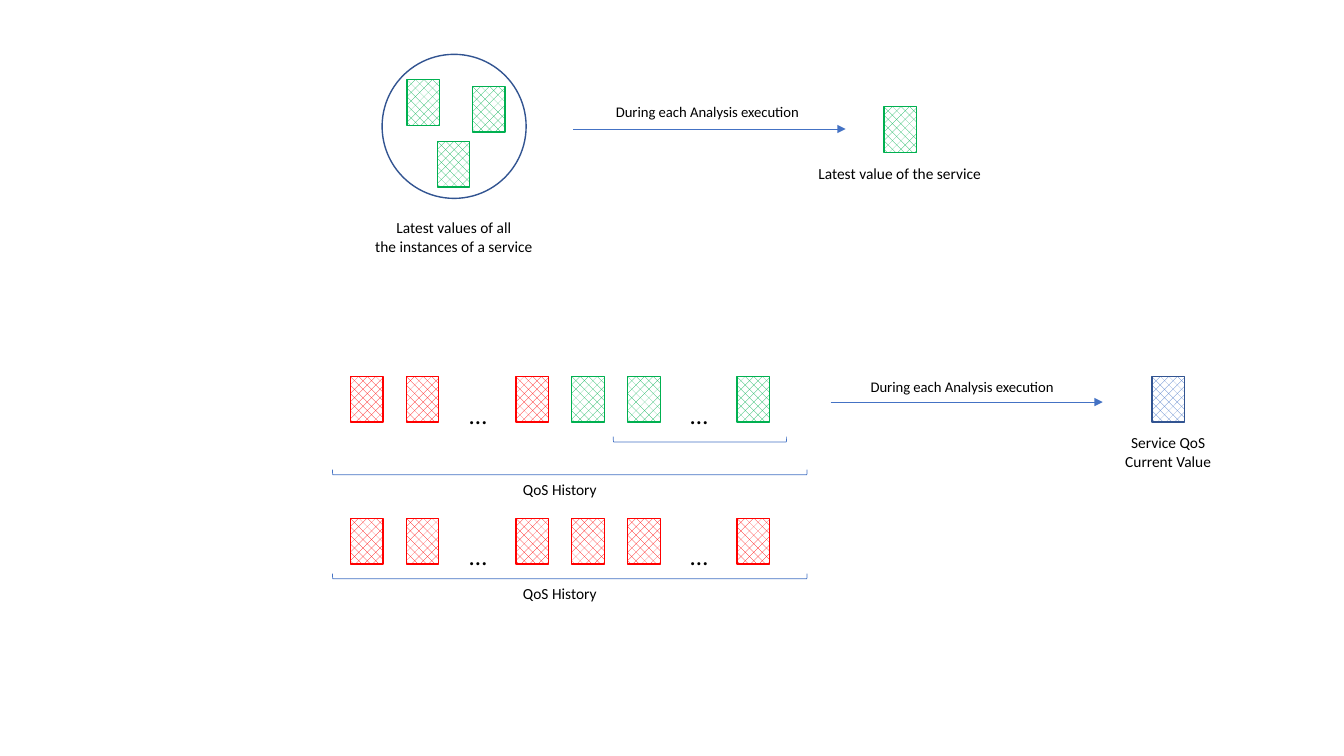
from lxml import etree
from pptx import Presentation
from pptx import util as u
from pptx.dml.color import RGBColor
from pptx.enum import dml, shapes, text
from pptx.oxml import ns

RED = RGBColor(0xFF, 0x00, 0x00)
GREEN = RGBColor(0x00, 0xB0, 0x50)
BLUE = RGBColor(0x44, 0x72, 0xC4)
NAVY = RGBColor(0x32, 0x54, 0x91)
BLACK = RGBColor(0x00, 0x00, 0x00)
WHITE = RGBColor(0xFF, 0xFF, 0xFF)

TILE_WIDTH, TILE_HEIGHT = 0.82, 1.15
TILE_PITCH = 1.41
GROUPS = ((8.83, 2), (13, 3), (18.57, 1))
DOTS_LEFTS = (11.58, 17.15)
HISTORY_MIDDLE, HISTORY_SPAN = 14.36, 11.96


class Sketch:
    font = "Calibri"
    thin, medium = u.Pt(0.5), u.Pt(1)

    def __init__(self, page):
        self.page = page

    def shape(self, kind, left, top, width, height, line, weight):
        item = self.page.shapes.add_shape(
            kind, u.Cm(left), u.Cm(top), u.Cm(width), u.Cm(height))
        item.shadow.inherit = False
        item.line.color.rgb = line
        item.line.width = weight
        return item

    def tile(self, left, top, color, line=None):
        item = self.shape(shapes.MSO_SHAPE.RECTANGLE, left, top,
                          TILE_WIDTH, TILE_HEIGHT, line or color, self.medium)
        item.fill.patterned()
        item.fill.pattern = dml.MSO_PATTERN.ERCENT_40
        item.fill.fore_color.rgb = color
        item.fill.back_color.rgb = WHITE

    def circle(self, left, top, size):
        item = self.shape(shapes.MSO_SHAPE.OVAL, left, top, size, size, NAVY, self.medium)
        item.fill.solid()
        item.fill.fore_color.rgb = WHITE

    def bracket(self, middle, center, span, depth=0.13):
        item = self.shape(shapes.MSO_SHAPE.LEFT_BRACKET, middle - depth / 2,
                          center - span / 2, depth, span, BLUE, self.thin)
        item.fill.background()
        item.rotation = 270

    def arrow(self, left, top, length=6.86):
        item = self.page.shapes.add_connector(
            shapes.MSO_CONNECTOR.STRAIGHT,
            u.Cm(left), u.Cm(top), u.Cm(left + length), u.Cm(top))
        item.line.color.rgb = BLUE
        item.line.width = self.thin
        etree.SubElement(item.line._get_or_add_ln(), ns.qn("a:tailEnd"), type="triangle")
        etree.SubElement(item._element.spPr, ns.qn("a:effectLst"))

    def label(self, words, left, top, width, height=0.74, size=11,
              align=text.PP_ALIGN.LEFT, wrap=False):
        box = self.page.shapes.add_textbox(
            u.Cm(left), u.Cm(top), u.Cm(width), u.Cm(height))
        frame = box.text_frame
        frame.word_wrap = wrap
        frame.auto_size = text.MSO_AUTO_SIZE.SHAPE_TO_FIT_TEXT
        frame.text = words
        for para in frame.paragraphs:
            para.alignment = align
            for span in para.runs:
                span.font.name = self.font
                span.font.size = u.Pt(size)
                span.font.color.rgb = BLACK

    def history(self, top, colors, bracket_center):
        lefts = [start + TILE_PITCH * step for start, count in GROUPS for step in range(count)]
        for left, color in zip(lefts, colors):
            self.tile(left, top, color)
        for left in DOTS_LEFTS:
            self.label("…", left, top + 0.44, 0.97, 1.02, size=18)
        self.bracket(HISTORY_MIDDLE, bracket_center, HISTORY_SPAN)
        self.label("QoS History", 12.93, bracket_center + 0.07, 2.39)


def main():
    deck = Presentation()
    deck.slide_width, deck.slide_height = u.Cm(33.87), u.Cm(19.05)
    sketch = Sketch(deck.slides.add_slide(deck.slide_layouts[6]))
    center = text.PP_ALIGN.CENTER

    sketch.circle(9.63, 1.37, 3.63)
    for left, top in ((10.26, 2.01), (11.91, 2.18), (11.02, 3.56), (22.28, 2.69)):
        sketch.tile(left, top, GREEN)
    sketch.label("Latest values of all\nthe instances of a service",
                 9.19, 5.38, 4.5, 1.19, align=center)
    sketch.label("Latest value of the service", 20.35, 4.01, 4.65, align=center)

    sketch.history(9.49, [RED] * 3 + [GREEN] * 3, 11.9)
    sketch.bracket(17.64, 11.07, 4.37)
    sketch.history(13.06, [RED] * 6, 14.52)

    sketch.tile(29.03, 9.49, BLUE, line=NAVY)
    sketch.label("Service QoS Current Value", 27.66, 10.8, 3.56, 1.19,
                 align=center, wrap=True)

    sketch.arrow(14.45, 3.25)
    sketch.arrow(20.93, 10.13)
    for left, top in ((15.27, 2.46), (21.69, 9.4)):
        sketch.label("During each Analysis execution", left, top, 5.21, 0.71, size=10.5)

    deck.save("out.pptx")


if __name__ == "__main__":
    main()
